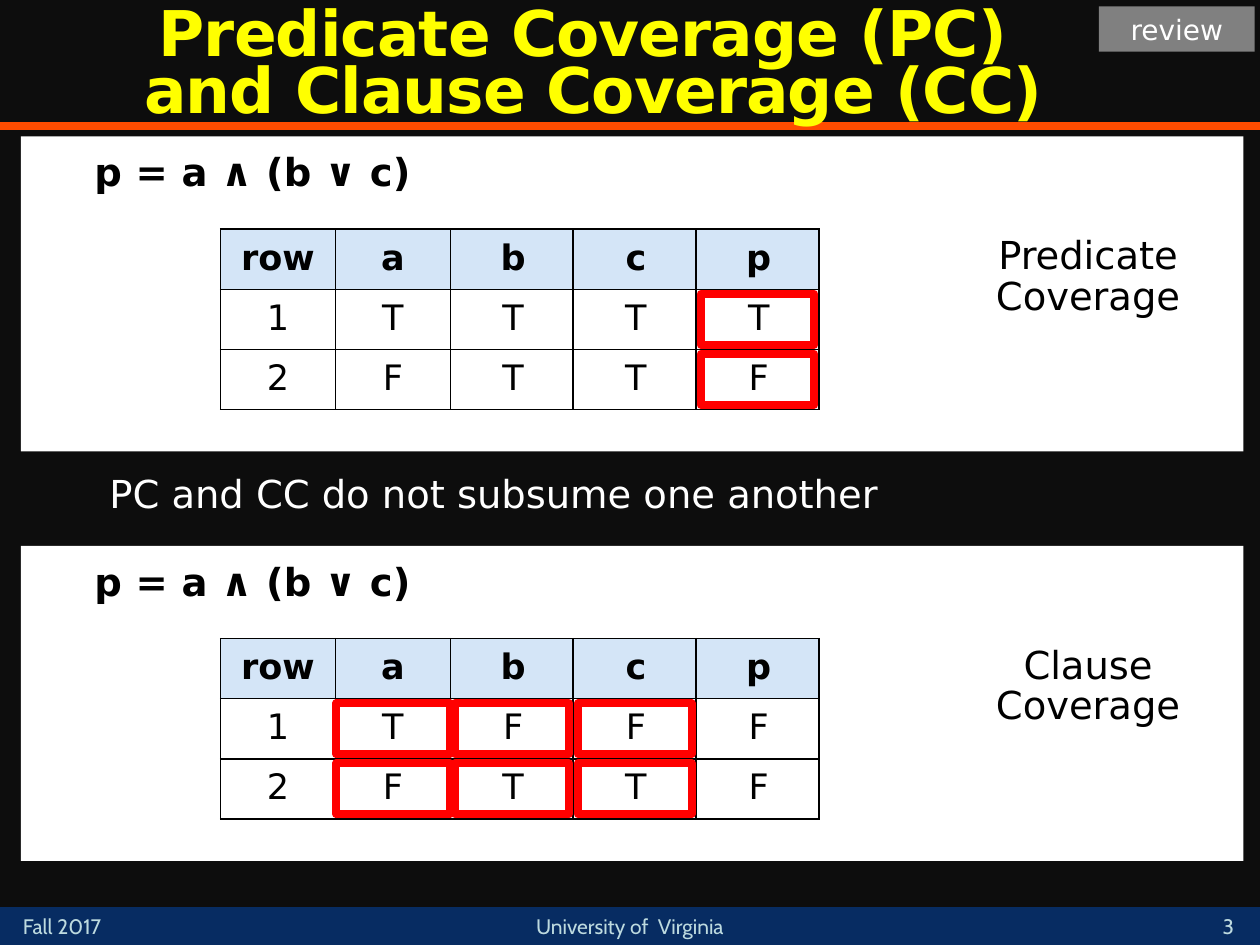
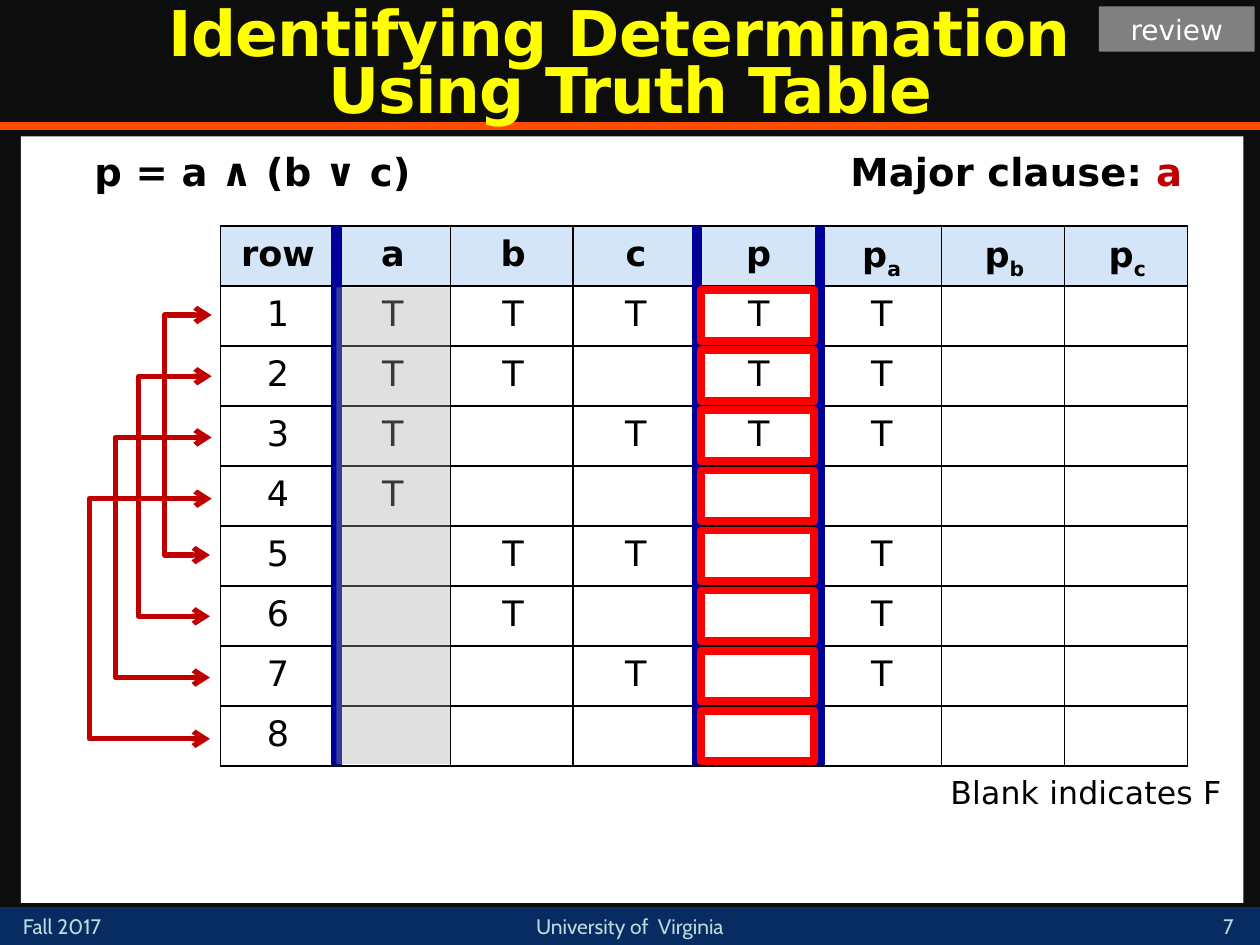
from lxml.etree import SubElement
from pptx import Presentation
from pptx.dml.color import RGBColor
from pptx.enum.shapes import MSO_CONNECTOR, MSO_SHAPE
from pptx.enum.text import MSO_ANCHOR, MSO_AUTO_SIZE, PP_ALIGN
from pptx.oxml.ns import qn
from pptx.util import Pt

BACK = RGBColor(0x0D, 0x0D, 0x0D)
BAND = RGBColor(0x07, 0x2C, 0x62)
RULE = RGBColor(0xFF, 0x4C, 0x00)
FOOT = RGBColor(0xBD, 0xDA, 0xDF)
YELLOW = RGBColor(0xFF, 0xFF, 0x00)
WHITE = RGBColor(0xFF, 0xFF, 0xFF)
BLACK = RGBColor(0, 0, 0)
GRAY = RGBColor(0x80, 0x80, 0x80)
SHADE = RGBColor(0xA6, 0xA6, 0xA6)
HEAD = RGBColor(0xD4, 0xE5, 0xF7)
RED = RGBColor(0xFF, 0, 0)
DARK_RED = RGBColor(0xC0, 0, 0)
NAVY = RGBColor(0, 0, 0x99)

FONT, FOOT_FONT = "DejaVu Sans", "Cabin"
NO_STYLE = "{2D5ABB26-0587-4C30-8999-92F81FD0307C}"
NARROW, WIDE, ROW_H = 65.7, 70.2, 34.3
TABLE_X = 126
FRAME_W, FRAME_H = 65, 29
NUDGE = 1.5

FORMULA = "p = a ∧ (b ∨ c)"
HEADS = ["row", "a", "b", "c", "p"]
COVERAGES = [
    {"top": 78, "label": "Predicate Coverage", "rows": ["1TTTT", "2FTTF"], "framed": [4]},
    {"top": 312, "label": "Clause Coverage", "rows": ["1TFFF", "2FTTF"], "framed": [1, 2, 3]},
]
NOTE = "PC and CC do not subsume one another"

TRUTH_HEADS = HEADS + ["pa", "pb", "pc"]
TRUTH_ROWS = ["1TTTT", "2TT T", "3T TT", "4T", "5 TT", "6 T", "7  T", "8"]
DETERMINING_ROWS = [1, 2, 3, 5, 6, 7]
PAIR_REACH = [27, 42, 55.5, 70.5]
BLANK_NOTE = "Blank indicates F"


def write(tf, text, size, color, bold=False, align=None, spacing=None,
          track=0, indent=0, font=FONT):
    p = tf.paragraphs[0]
    if isinstance(text, str):
        p.text = text
    else:
        for part, tint in text:
            r = p.add_run()
            r.text = part
            if tint is not None:
                r.font.color.rgb = tint
    p.alignment, p.line_spacing = align, spacing
    pPr = p._p.get_or_add_pPr()
    if indent:
        pPr.set("marL", str(Pt(indent)))
    p.font.name, p.font.size, p.font.bold = font, Pt(size), bold
    p.font.color.rgb = color
    if track:
        pPr.get_or_add_defRPr().set("spc", str(track))
    return p


def add_text(s, x, y, w, h, text, size, color, anchor=MSO_ANCHOR.TOP, **style):
    tf = s.shapes.add_textbox(Pt(x), Pt(y), Pt(w), Pt(h)).text_frame
    tf.word_wrap, tf.vertical_anchor = True, anchor
    write(tf, text, size, color, **style)


def add_box(s, x, y, w, h, fill=None, line=None):
    sp = s.shapes.add_shape(MSO_SHAPE.RECTANGLE, Pt(x), Pt(y), Pt(w), Pt(h))
    sp.shadow.inherit = False
    if fill is None:
        sp.fill.background()
    else:
        sp.fill.solid()
        sp.fill.fore_color.rgb = fill
    if line is None:
        sp.line.fill.background()
    else:
        sp.line.color.rgb, sp.line.width = line, Pt(4.5)
        SubElement(sp.line._get_or_add_ln(), qn("a:round"))
    return sp


def add_line(s, x1, y1, x2, y2, color, width, kind=MSO_CONNECTOR.STRAIGHT):
    cn = s.shapes.add_connector(kind, Pt(x1), Pt(y1), Pt(x2), Pt(y2))
    cn.line.color.rgb, cn.line.width = color, Pt(width)
    SubElement(cn._element.spPr, qn("a:effectLst"))
    return cn


def new_slide(prs, title, title_w, number):
    s = prs.slides.add_slide(prs.slide_layouts[5])
    add_box(s, 0, 518.4, 720, 21.6, BAND)
    add_line(s, 0, 72, 720, 72, RULE, 4.5)
    foot = dict(size=12, color=FOOT, font=FOOT_FONT)
    add_text(s, 6, 518.4, 84, 21.6, "Fall 2017", **foot)
    add_text(s, 684, 516.2, 36, 23.8, number, anchor=MSO_ANCHOR.BOTTOM,
             align=PP_ALIGN.CENTER, **foot)
    add_text(s, 264, 518.4, 192, 21.6, "University of  Virginia",
             align=PP_ALIGN.CENTER, **foot)
    sp = s.shapes.title
    s.shapes._spTree.append(sp._element)
    sp.left, sp.top, sp.width, sp.height = Pt(0), Pt(3), Pt(title_w), Pt(72)
    tf = sp.text_frame
    tf.auto_size, tf.vertical_anchor = MSO_AUTO_SIZE.NONE, MSO_ANCHOR.MIDDLE
    write(tf, title, 36, YELLOW, True, PP_ALIGN.CENTER, 0.75, -50)
    tag = add_box(s, 628, 3.6, 89, 26, GRAY)
    write(tag.text_frame, "review", 16, WHITE, align=PP_ALIGN.CENTER)
    return s


def add_panel(s, top, height):
    add_box(s, 12, top, 698.5, height, WHITE)
    add_heading(s, 45.4, top + 6.2, FORMULA)


def add_heading(s, x, y, text):
    add_text(s, x, y, 225, 36, text, 22, BLACK, bold=True, spacing=0.9,
             track=10, indent=NUDGE)


def make_table(s, x, y, widths, rows, row_h):
    gf = s.shapes.add_table(rows, len(widths), Pt(x), Pt(y),
                            Pt(sum(widths)), Pt(row_h * rows))
    t = gf.table
    t.first_row = t.horz_banding = False
    t._tbl.tblPr[0].text = NO_STYLE
    for col, w in zip(t.columns, widths):
        col.width = Pt(w)
    for row in t.rows:
        row.height = Pt(row_h)
    return t


def fill_cell(cell, text, size, bold=False, indent=NUDGE):
    cell.vertical_anchor = MSO_ANCHOR.MIDDLE
    return write(cell.text_frame, text, size, BLACK, bold, PP_ALIGN.CENTER, 0.9,
                 indent=indent)


def add_label(s, x, y, w, h, text, size):
    cell = make_table(s, x, y, [w], 1, h).cell(0, 0)
    cell.fill.background()
    fill_cell(cell, text, size)


def set_borders(cell):
    tcPr = cell._tc.get_or_add_tcPr()
    for side in ("lnL", "lnR", "lnT", "lnB"):
        ln = SubElement(tcPr, qn(f"a:{side}"), w=str(Pt(1)))
        SubElement(SubElement(ln, qn("a:solidFill")), qn("a:srgbClr"), val=str(BLACK))


def col_x(c):
    return TABLE_X + NARROW * min(c, 2) + WIDE * max(c - 2, 0)


def add_truth_table(s, top, heads, rows):
    widths = [col_x(c + 1) - col_x(c) for c in range(len(heads))]
    t = make_table(s, TABLE_X, top, widths, len(rows) + 1, ROW_H)
    grid = [heads] + [row.ljust(len(heads)) for row in rows]
    for i, row in enumerate(grid):
        for j, text in enumerate(row):
            cell = t.cell(i, j)
            set_borders(cell)
            if i == 0:
                cell.fill.solid()
                cell.fill.fore_color.rgb = HEAD
            else:
                cell.fill.background()
            if not text.strip():
                continue
            parts = [(ch, None) for ch in text] if len(text) == 2 else text
            p = fill_cell(cell, parts, 20, i == 0, NUDGE if j > 1 else 0)
            if len(text) == 2:
                p.runs[1]._r.get_or_add_rPr().set("baseline", "-25000")


def add_frames(s, top, cols, count):
    for c in cols:
        x = (col_x(c) + col_x(c + 1) - FRAME_W) / 2
        for i in range(1, count + 1):
            y = top + ROW_H * i + (ROW_H - FRAME_H) / 2
            add_box(s, x, y, FRAME_W, FRAME_H, line=RED)


def add_pair_arrow(s, y, reach):
    cn = add_line(s, 121, y, 120, y + 4 * ROW_H, DARK_RED, 3, MSO_CONNECTOR.ELBOW)
    geom = cn._element.spPr.find(qn("a:prstGeom"))
    av = geom.find(qn("a:avLst"))
    if av is None:
        av = SubElement(geom, qn("a:avLst"))
    SubElement(av, qn("a:gd"), name="adj1", fmla=f"val {int(reach * 100000)}")
    ln = cn.line._get_or_add_ln()
    for end in ("headEnd", "tailEnd"):
        SubElement(ln, qn(f"a:{end}"), type="arrow")


def coverage_slide(prs):
    s = new_slide(prs, "Predicate Coverage (PC) \vand Clause Coverage (CC)", 678, "3")
    for item in COVERAGES:
        top = item["top"]
        add_panel(s, top, 180)
        add_truth_table(s, top + 53, HEADS, item["rows"])
        add_label(s, 546.5, top + 53.5, 149, 54.7, item["label"], 22)
        add_frames(s, top + 53, item["framed"], len(item["rows"]))
    add_text(s, 45.4, 267, 582, 32.4, NOTE, 22, WHITE, spacing=0.95, indent=10)


def determination_slide(prs):
    s = new_slide(prs, "Identifying Determination \vUsing Truth Table", 720, "7")
    add_panel(s, 78, 438)
    add_heading(s, 477.4, 84.2, [("Major clause: ", None), ("a", DARK_RED)])
    top, count = 129, len(TRUTH_ROWS)
    add_truth_table(s, top, TRUTH_HEADS, TRUTH_ROWS)
    for c in (1, 4, 5):
        add_line(s, col_x(c) + 0.5, top, col_x(c) + 0.5, top + ROW_H * (count + 1), NAVY, 6)
    for i, reach in enumerate(PAIR_REACH):
        add_pair_arrow(s, 180 + 35 * i, reach)
    for i in DETERMINING_ROWS:
        add_label(s, col_x(5), top + ROW_H * i, WIDE, ROW_H, "T", 20)
    add_frames(s, top, [4], count)
    add_text(s, 534.5, 440.6, 182, 39, BLANK_NOTE, 18, BLACK, spacing=0.9,
             track=10, indent=NUDGE)
    shade = add_box(s, col_x(1) + 0.5, top + ROW_H + 1, FRAME_W, ROW_H * count - 2, SHADE)
    color = shade._element.spPr.find(qn("a:solidFill"))[0]
    SubElement(color, qn("a:alpha"), val="34000")


def main():
    prs = Presentation()
    prs.slide_width, prs.slide_height = Pt(720), Pt(540)
    fill = prs.slide_master.background.fill
    fill.solid()
    fill.fore_color.rgb = BACK
    coverage_slide(prs)
    determination_slide(prs)
    prs.save("out.pptx")


if __name__ == "__main__":
    main()
